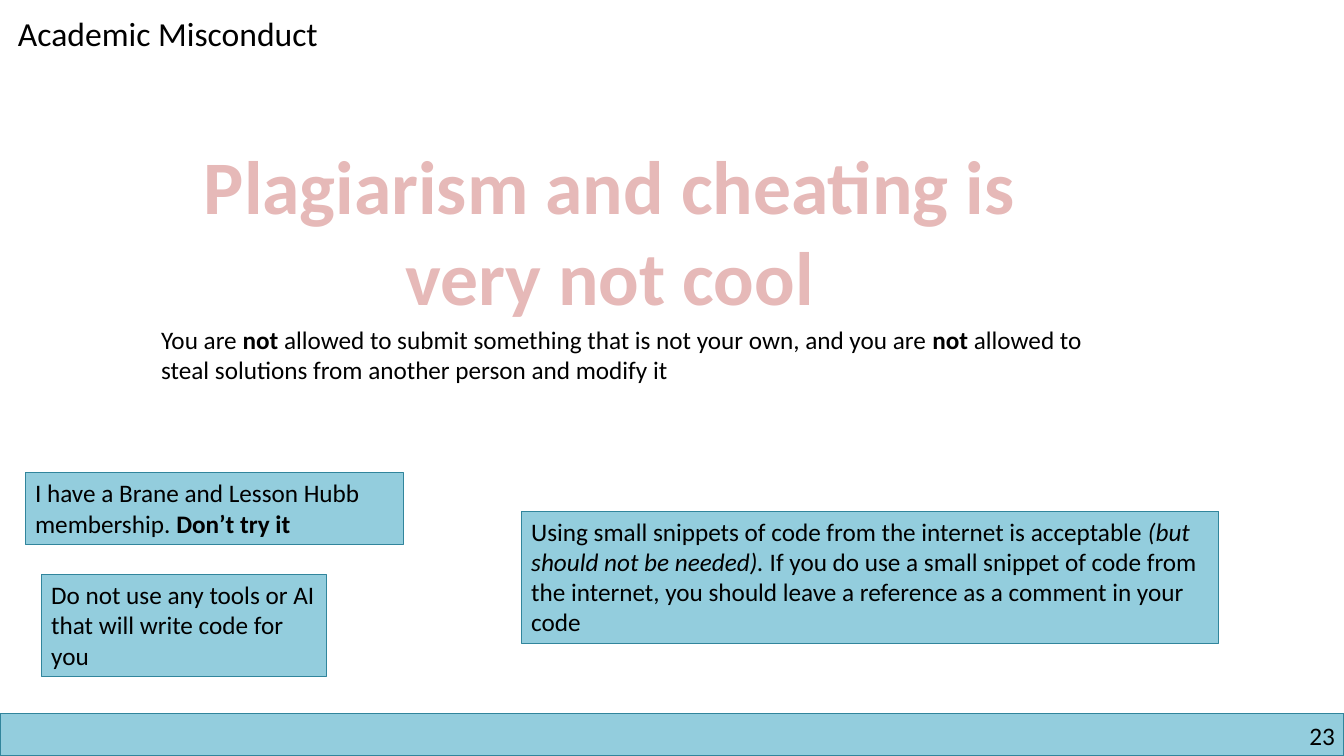
"""Build the slide on academic misconduct."""
from dataclasses import dataclass

from lxml import etree
from pptx import Presentation
from pptx.dml.color import RGBColor
from pptx.enum.shapes import MSO_SHAPE
from pptx.enum.text import MSO_ANCHOR, PP_ALIGN
from pptx.oxml.ns import qn
from pptx.slide import Slide
from pptx.util import Inches, Pt

RECT = MSO_SHAPE.RECTANGLE
TOP = MSO_ANCHOR.TOP
LEFT, MID, RIGHT = PP_ALIGN.LEFT, PP_ALIGN.CENTER, PP_ALIGN.RIGHT
FONT = "Calibri"
BLACK, PINK, RED = "000000", "E6B9B8", "C0504D"
SKY, TEAL = "93CDDD", "31859C"


@dataclass
class Run:
    text: str
    bold: bool = False
    slant: bool = False


@dataclass
class Box:
    left: float
    top: float
    width: float
    height: float
    runs: list[Run]
    size: float = 18
    color: str = BLACK
    align: PP_ALIGN = LEFT
    wrap: bool = True
    inset: bool = True
    edge: float = 0
    rim: float = 0


TEXTS = [
    Box(10.17, 7.15, 3.07, 0.3, [Run("23")], align=RIGHT, inset=False),
    Box(0.08, 0.08, 3.48, 0.5, [Run("Academic Misconduct")], size=24, wrap=False),
    Box(1.75, 1.33, 8.59, 1.9, [Run("Plagiarism and cheating is very not cool", bold=True)],
        size=54, color=PINK, align=MID, rim=1.75),
    Box(1.5, 3.17, 9.67, 0.71, [
        Run("You are "),
        Run("not ", bold=True),
        Run("allowed to submit something that is not your own, and you are "),
        Run("not", bold=True),
        Run(" allowed to steal solutions from another person and modify it"),
    ]),
]

NOTES = [
    Box(0, 7.08, 13.33, 0.42, [], edge=1),
    Box(0.25, 4.69, 3.75, 0.71, [
        Run("I have a Brane and Lesson Hubb membership. "),
        Run("Don’t try it", bold=True),
    ], edge=0.75),
    Box(0.41, 5.7, 2.83, 1.01, [
        Run("Do not use any tools or AI that will write code for you"),
    ], edge=0.75),
    Box(5.17, 5.07, 6.92, 1.31, [
        Run("Using small snippets of code from the internet is acceptable "),
        Run("(but should not be needed). ", slant=True),
        Run("If you do use a small snippet of code from the internet, "
            "you should leave a reference as a comment in your code"),
    ], edge=0.75),
]


def rgb(code: str) -> RGBColor:
    return RGBColor.from_string(code)


def add_rim(run, width: float) -> None:
    line = etree.Element(qn("a:ln"), w=str(Pt(width)))
    fill = etree.SubElement(line, qn("a:solidFill"))
    etree.SubElement(fill, qn("a:srgbClr"), val=RED)
    run.font._element.insert(0, line)


def write(frame, box: Box) -> None:
    frame.word_wrap = box.wrap
    frame.vertical_anchor = TOP
    if not box.inset:
        frame.margin_left = frame.margin_right = 0
        frame.margin_top = frame.margin_bottom = 0
    para = frame.paragraphs[0]
    para.alignment = box.align
    for part in box.runs:
        run = para.add_run()
        run.text = part.text
        font = run.font
        font.name, font.size = FONT, Pt(box.size)
        font.bold, font.italic = part.bold, part.slant
        font.color.rgb = rgb(box.color)
        if box.rim:
            add_rim(run, box.rim)


def draw(slide: Slide, box: Box) -> None:
    area = [Inches(n) for n in (box.left, box.top, box.width, box.height)]
    if box.edge:
        shape = slide.shapes.add_shape(RECT, *area)
        shape.shadow.inherit = False
        shape.fill.solid()
        shape.fill.fore_color.rgb = rgb(SKY)
        shape.line.color.rgb = rgb(TEAL)
        shape.line.width = Pt(box.edge)
    else:
        shape = slide.shapes.add_textbox(*area)
    write(shape.text_frame, box)


def main() -> None:
    deck = Presentation()
    deck.slide_width, deck.slide_height = Inches(13.33), Inches(7.5)
    slide = deck.slides.add_slide(deck.slide_layouts[6])
    for box in NOTES + TEXTS:
        draw(slide, box)
    deck.save("out.pptx")


if __name__ == "__main__":
    main()
